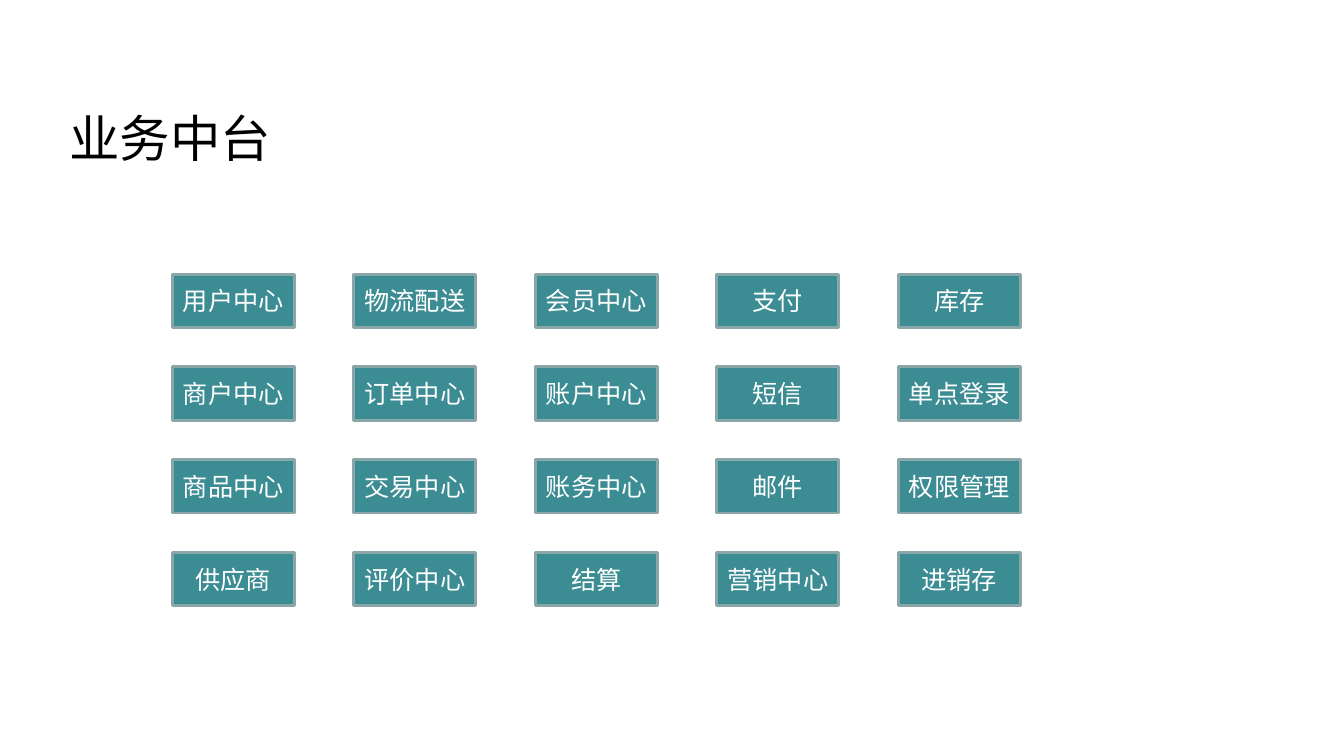
from dataclasses import dataclass

from pptx import Presentation
from pptx import util as u
from pptx.dml.color import RGBColor
from pptx.enum import shapes, text


@dataclass(frozen=True)
class Theme:
    font: str = "Arial"
    title_size: int = 36
    box_size: int = 18
    line_width: int = 2
    title_color: str = "000000"
    box_fill: str = "3C8C93"
    box_line: str = "8AA6A8"
    box_text: str = "FFFFFF"


class SlideBuilder:
    def __init__(self, page, theme):
        self.page = page
        self.theme = theme

    def add_words(self, frame, words, size, color, align):
        frame.word_wrap = True
        frame.vertical_anchor = text.MSO_ANCHOR.MIDDLE
        para = frame.paragraphs[0]
        para.alignment = align
        span = para.add_run()
        span.text = words
        span.font.name = self.theme.font
        span.font.size = u.Pt(size)
        span.font.color.rgb = RGBColor.from_string(color)

    def title(self, words, left, top, width, height):
        box = self.page.shapes.title
        box.left, box.top = u.Inches(left), u.Inches(top)
        box.width, box.height = u.Inches(width), u.Inches(height)
        self.add_words(box.text_frame, words, self.theme.title_size,
                       self.theme.title_color, text.PP_ALIGN.LEFT)

    def box(self, words, left, top, width, height):
        box = self.page.shapes.add_shape(
            shapes.MSO_SHAPE.RECTANGLE, u.Inches(left), u.Inches(top),
            u.Inches(width), u.Inches(height))
        box.shadow.inherit = False
        box.fill.solid()
        box.fill.fore_color.rgb = RGBColor.from_string(self.theme.box_fill)
        box.line.color.rgb = RGBColor.from_string(self.theme.box_line)
        box.line.width = u.Pt(self.theme.line_width)
        frame = box.text_frame
        frame.margin_left = frame.margin_right = u.Inches(0.05)
        self.add_words(frame, words, self.theme.box_size,
                       self.theme.box_text, text.PP_ALIGN.CENTER)

    def grid(self, columns, left, top, step_x, step_y, width, height):
        """Place equal boxes column by column."""
        for column, names in enumerate(columns):
            for row, name in enumerate(names):
                self.box(name, left + column * step_x, top + row * step_y,
                         width, height)


SERVICES = [
    ["用户中心", "商户中心", "商品中心", "供应商"],
    ["物流配送", "订单中心", "交易中心", "评价中心"],
    ["会员中心", "账户中心", "账务中心", "结算"],
    ["支付", "短信", "邮件", "营销中心"],
    ["库存", "单点登录", "权限管理", "进销存"],
]


def main():
    deck = Presentation()
    deck.slide_width, deck.slide_height = u.Inches(13.33), u.Inches(7.5)
    page = deck.slides.add_slide(deck.slide_layouts.get_by_name("Title Only"))
    builder = SlideBuilder(page, Theme())
    builder.title("业务中台", 0.59, 0.85, 11.97, 1.02)
    builder.grid(SERVICES, left=1.71, top=2.72, step_x=1.8, step_y=0.92,
                 width=1.21, height=0.53)
    deck.save("out.pptx")


if __name__ == "__main__":
    main()
